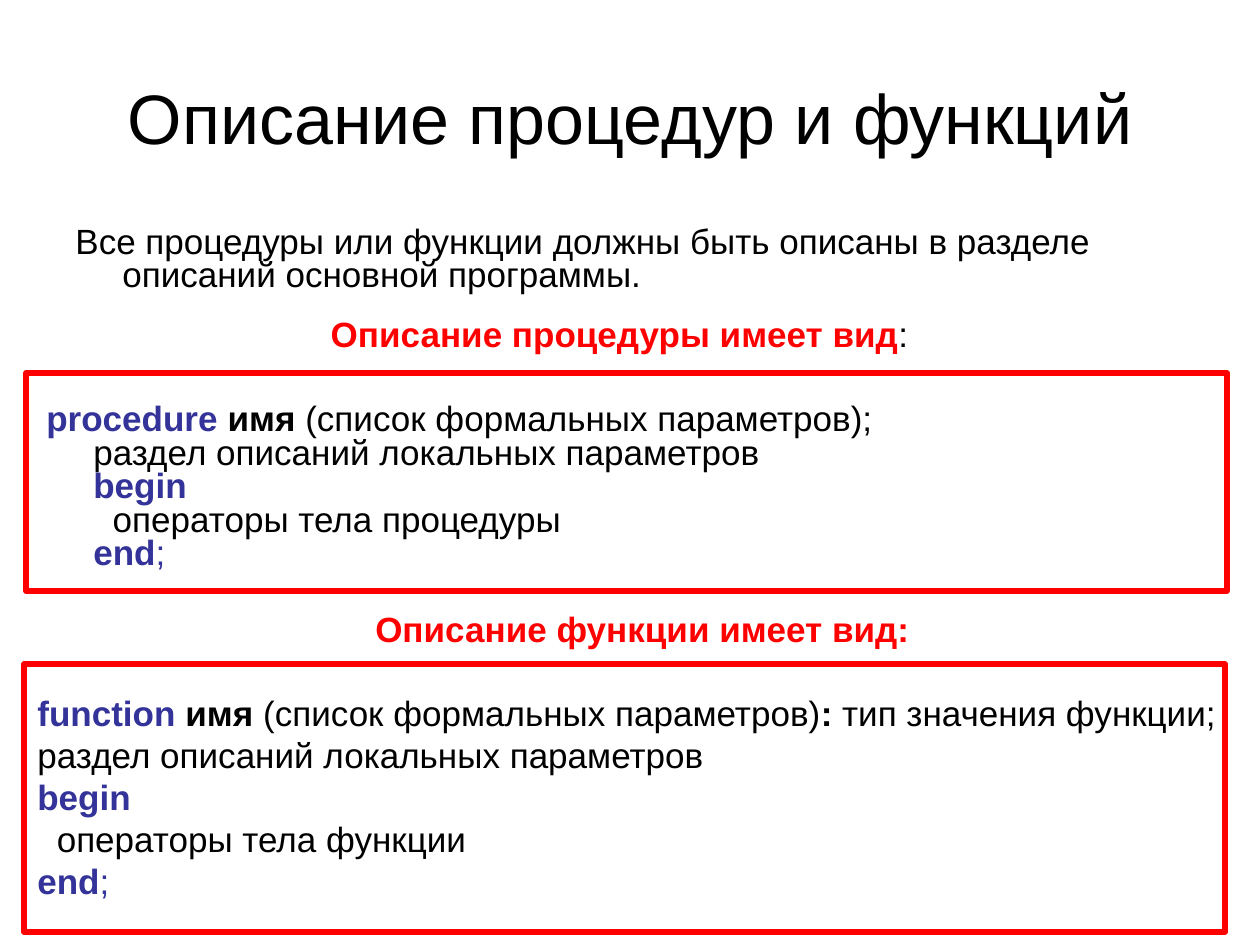
from pptx import Presentation
from pptx.dml.color import RGBColor
from pptx.enum.shapes import MSO_SHAPE
from pptx.enum.text import MSO_ANCHOR, PP_ALIGN
from pptx.util import Pt

PX = 914400 / 126
BLACK = RGBColor(0, 0, 0)
RED = RGBColor(255, 0, 0)
BLUE = RGBColor(51, 51, 153)
CENTER = PP_ALIGN.CENTER
LEFT = PP_ALIGN.LEFT
MIDDLE = MSO_ANCHOR.MIDDLE
RECT = MSO_SHAPE.RECTANGLE
FONT = "Arial"
HANG = 47


def emu(px):
    return round(px * PX)


def add_box(s, box):
    tf = s.shapes.add_textbox(*map(emu, box)).text_frame
    tf.word_wrap = True
    return tf


def add_runs(p, runs, size=20):
    for text, color, bold in runs:
        for i, line in enumerate(text.split("\n")):
            if i:
                p.add_line_break()
            if line:
                r = p.add_run()
                r.text = line
                r.font.name = FONT
                r.font.size = Pt(size)
                r.font.bold = bold
                r.font.color.rgb = color


def set_paragraph(p, align, hang, spacing, before=0):
    p.alignment = align
    p.line_spacing = spacing
    p.space_before = Pt(before)
    if hang:
        pPr = p._p.get_or_add_pPr()
        pPr.set("marL", str(emu(hang)))
        pPr.set("indent", str(-emu(hang)))


def add_title(s, box, text):
    tf = add_box(s, box)
    tf.vertical_anchor = MIDDLE
    p = tf.paragraphs[0]
    p.alignment = CENTER
    add_runs(p, [(text, BLACK, False)], 40)


def add_intro(s, box, text):
    p = add_box(s, box).paragraphs[0]
    set_paragraph(p, LEFT, HANG, 0.8)
    add_runs(p, [(text, BLACK, False)])


def add_syntax(s, box, frame, heading, code, hang, spacing, gap):
    x, y, w, h = box
    dx, dy, fw, fh = frame
    tf = add_box(s, box)
    p = tf.paragraphs[0]
    set_paragraph(p, CENTER, hang, spacing)
    add_runs(p, heading)
    p = tf.add_paragraph()
    set_paragraph(p, LEFT, hang, spacing, gap)
    add_runs(p, code)
    sp = s.shapes.add_shape(RECT, *map(emu, (x + dx, y + dy, fw, fh)))
    sp.shadow.inherit = False
    sp.fill.background()
    sp.line.color.rgb = RED
    sp.line.width = Pt(3)


def code_body(kind):
    return [
        ("begin\n", BLUE, True),
        (f"  операторы тела {kind}\n", BLACK, False),
        ("end", BLUE, True),
        (";", BLUE, False),
    ]


def main():
    prs = Presentation()
    prs.slide_width, prs.slide_height = emu(1260), emu(945)
    s = prs.slides.add_slide(prs.slide_layouts[6])
    add_title(s, (63, 38, 1134, 158), "Описание процедур и функций")
    add_intro(s, (63, 221, 1153, 83),
              "Все процедуры или функции должны быть описаны в разделе "
              "описаний основной программы.")
    add_syntax(
        s, (34, 314, 1171, 277), (-8, 59, 1201, 218),
        [("Описание процедуры имеет вид", RED, True), (":", BLACK, False)],
        [("procedure ", BLUE, True), ("имя ", BLACK, True),
         ("(список формальных параметров);\n"
          "раздел описаний локальных параметров\n", BLACK, False),
         *code_body("процедуры")],
        HANG, 0.8, 29)
    add_syntax(
        s, (25, 601, 1235, 307), (-1, 63, 1201, 268),
        [("Описание функции имеет вид:", RED, True)],
        [("function", BLUE, True), (" имя", BLACK, True),
         (" (список формальных параметров)", BLACK, False),
         (":", BLACK, True),
         (" тип значения функции;\n"
          "раздел описаний локальных параметров\n", BLACK, False),
         *code_body("функции")],
        0, 1.0, 24)
    prs.save("out.pptx")


if __name__ == "__main__":
    main()
